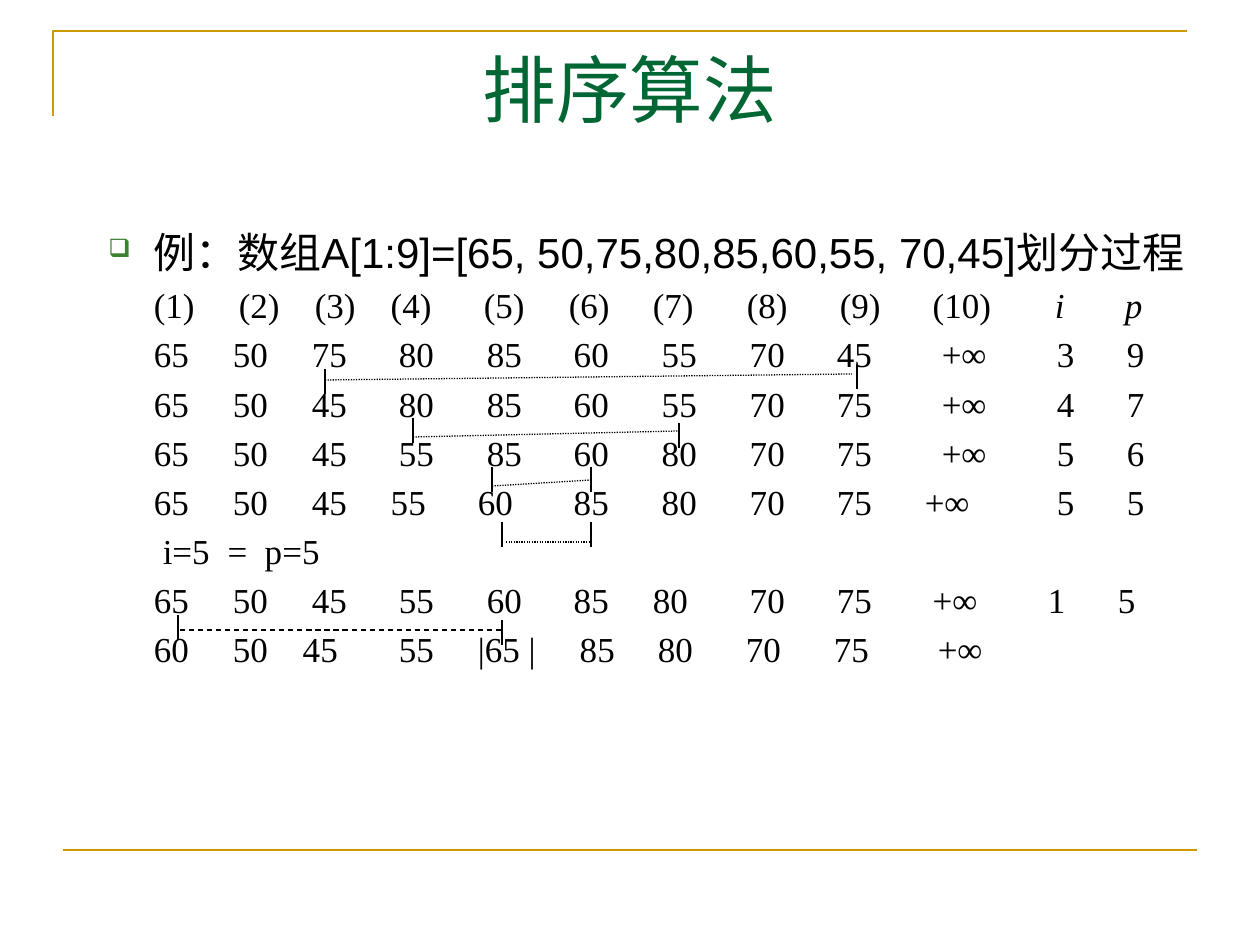
from lxml.etree import SubElement
from pptx import Presentation
from pptx.dml.color import RGBColor
from pptx.enum.dml import MSO_LINE_DASH_STYLE as Dash
from pptx.enum.shapes import MSO_CONNECTOR as Connector
from pptx.enum.text import MSO_ANCHOR as Anchor, PP_ALIGN as Align
from pptx.oxml.ns import qn
from pptx.util import Pt

TITLE = "排序算法"
EXAMPLE = "例：数组A[1:9]=[65, 50,75,80,85,60,55, 70,45]划分过程"
COLUMNS = [154, 233, 312, 399, 487, 574, 662, 750, 837, 942, 1057, 1127]
HEADER_COLUMNS = [154, 239, 315, 391, 484, 569, 653, 747, 840, 933, 1055, 1125]
ROWS = [
    ("(1) (2) (3) (4) (5) (6) (7) (8) (9) (10) i p", dict(enumerate(HEADER_COLUMNS))),
    ("65 50 75 80 85 60 55 70 45 +∞ 3 9", {}),
    ("65 50 45 80 85 60 55 70 75 +∞ 4 7", {}),
    ("65 50 45 55 85 60 80 70 75 +∞ 5 6", {}),
    ("65 50 45 55 60 85 80 70 75 +∞ 5 5", {3: 391, 4: 478, 9: 925}),
    ("i=5 = p=5", {0: 163, 1: 228, 2: 265}),
    ("65 50 45 55 60 85 80 70 75 +∞ 1 5", {6: 653, 9: 933, 10: 1048, 11: 1118}),
    ("60 50 45 55 |65_| 85 80 70 75 +∞",
     {2: 303, 4: 478, 5: 580, 6: 658, 7: 746, 8: 834, 9: 938}),
]
SWAP_LINKS = [
    (325, 380, 852, 374, Dash.ROUND_DOT),
    (413, 437, 679, 431, Dash.ROUND_DOT),
    (492, 486, 591, 480, Dash.ROUND_DOT),
    (506, 542, 591, 542, Dash.ROUND_DOT),
    (180, 630, 501, 630, Dash.DASH),
]
SWAP_TICKS = [
    (325, 369), (857, 364), (413, 418), (679, 423), (492, 467),
    (591, 467), (502, 522), (591, 522), (178, 615), (502, 620),
]
TICK_HEIGHT = 25
CORNER = [(53, 116), (53, 31), (1187, 31)]
FOOT_RULE = (63, 850, 1197, 850)
TITLE_BOX = (63, 38, 1134, 157)
BODY_BOX = (49, 220, 1162, 624)
TEXT_LEFT, BULLET_HANG, INSET = 92, 45, 12.6
SCALE = 914400 / 126
THEME = {
    "gold": "CC9900", "title": "006633", "ink": "000000", "bullet": "3B812F",
    "title_font": "Cambria", "body_font": "Arial", "row_font": "Times New Roman",
    "title_size": 42, "body_size": 24, "row_size": 20,
    "row_gap": 4.1, "rule": 1.5, "mark": 0.75,
}


def emu(pixels):
    return round(pixels * SCALE)


def color(name):
    return RGBColor.from_string(THEME[name])


def add_text_frame(page, box):
    frame = page.shapes.add_textbox(*map(emu, box)).text_frame
    frame.word_wrap = True
    frame.vertical_anchor = Anchor.TOP
    return frame


def add_span(para, text, style, ink="ink", italic=False):
    span = para.add_run()
    span.text = text
    span.font.name = THEME[style + "_font"]
    span.font.size = Pt(THEME[style + "_size"])
    span.font.color.rgb = color(ink)
    span.font.italic = italic


def set_bullet(para):
    props = para._p.get_or_add_pPr()
    props.set("marL", str(emu(TEXT_LEFT)))
    props.set("indent", str(-emu(BULLET_HANG)))
    tint = SubElement(props, qn("a:buClr"))
    SubElement(tint, qn("a:srgbClr"), val=THEME["bullet"])
    SubElement(props, qn("a:buSzPct"), val="60000")
    SubElement(props, qn("a:buChar"), char="❑")


def set_tabs(para, stops):
    tabs = SubElement(para._p.get_or_add_pPr(), qn("a:tabLst"))
    for stop in stops:
        position = emu(stop - BODY_BOX[0] - INSET)
        SubElement(tabs, qn("a:tab"), pos=str(position), algn="l")


def add_line(page, ends, ink, width, dash=None):
    line = page.shapes.add_connector(Connector.STRAIGHT, *map(emu, ends))
    line.line.color.rgb = color(ink)
    line.line.width = Pt(THEME[width])
    if dash:
        line.line.dash_style = dash
    SubElement(line._element.spPr, qn("a:effectLst"))


def add_frame(page):
    builder = page.shapes.build_freeform(*CORNER[0], scale=SCALE)
    builder.add_line_segments(CORNER[1:], close=False)
    corner = builder.convert_to_shape()
    corner.shadow.inherit = False
    corner.fill.background()
    corner.line.color.rgb = color("gold")
    corner.line.width = Pt(THEME["rule"])
    add_line(page, FOOT_RULE, "gold", "rule")


def add_body(page):
    frame = add_text_frame(page, BODY_BOX)
    para = frame.paragraphs[0]
    set_bullet(para)
    add_span(para, EXAMPLE, "body")
    for row, shifts in ROWS:
        cells = row.split()
        para = frame.add_paragraph()
        para.space_before = Pt(THEME["row_gap"])
        set_tabs(para, [shifts.get(i, COLUMNS[i]) for i in range(len(cells))])
        for cell in cells:
            add_span(para, "\t" + cell.replace("_", " "), "row", italic=cell in ("i", "p"))


def main():
    """Build the sorting partition slide."""
    deck = Presentation()
    deck.slide_width, deck.slide_height = emu(1260), emu(945)
    page = deck.slides.add_slide(deck.slide_layouts[6])
    add_frame(page)
    para = add_text_frame(page, TITLE_BOX).paragraphs[0]
    para.alignment = Align.CENTER
    add_span(para, TITLE, "title", "title")
    add_body(page)
    for *ends, dash in SWAP_LINKS:
        add_line(page, ends, "ink", "mark", dash)
    for x, y in SWAP_TICKS:
        add_line(page, (x, y, x, y + TICK_HEIGHT), "ink", "mark")
    deck.save("out.pptx")


main()
